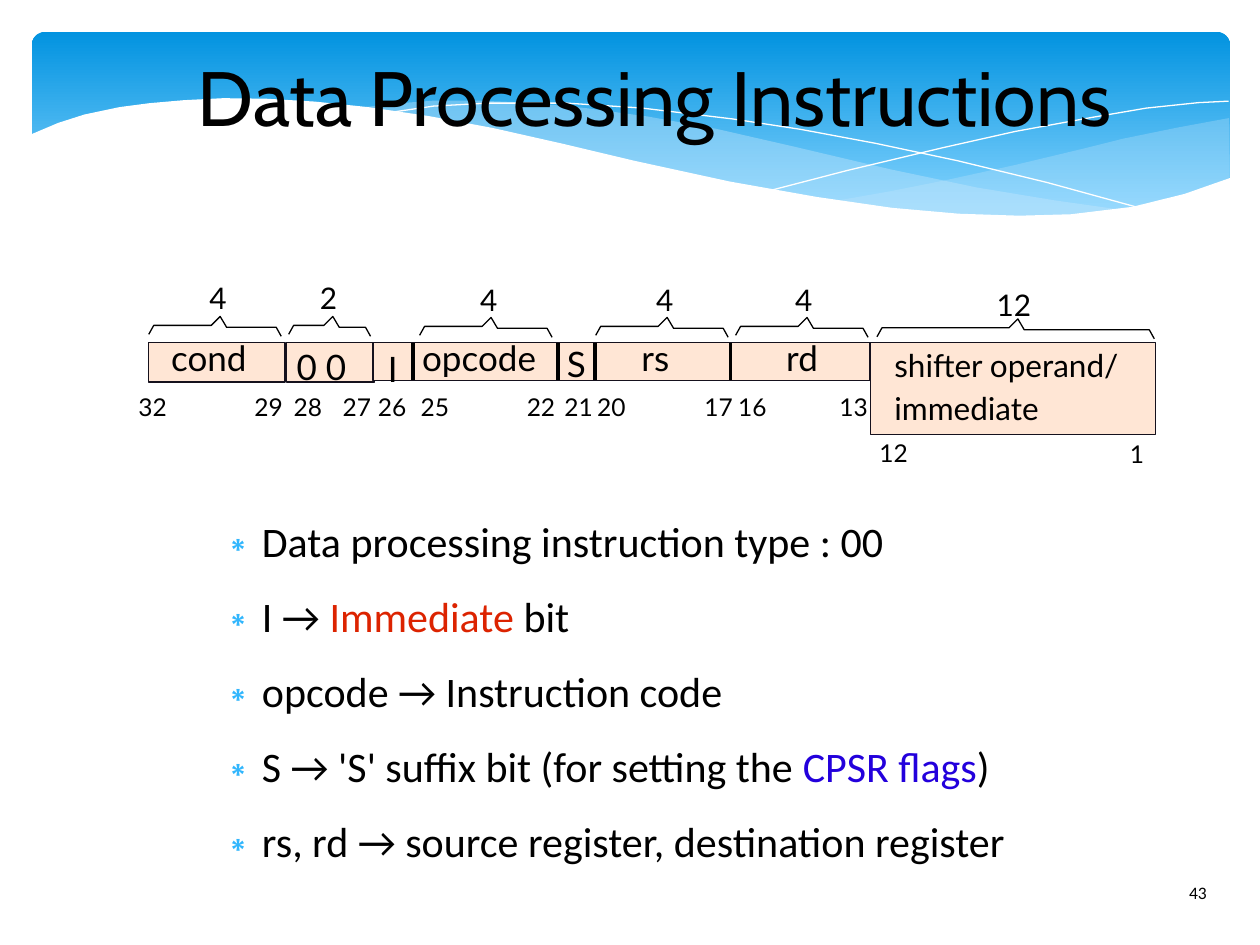
"""Build the slide on the data processing instruction format."""
import lxml.etree
import pptx
import pptx.dml.color
import pptx.enum.shapes
import pptx.enum.text
import pptx.oxml.ns
import pptx.util
from pptx.util import Cm

RGB = pptx.dml.color.RGBColor
BLACK = RGB(0x00, 0x00, 0x00)
WHITE = RGB(0xFF, 0xFF, 0xFF)
SKY_DARK = RGB(0x02, 0x93, 0xE0)
SKY_LIGHT = RGB(0x83, 0xD3, 0xFE)
WAVE = RGB(0xC6, 0xE7, 0xFC)
PEACH = RGB(0xFF, 0xE6, 0xD5)
EDGE = RGB(0x15, 0x11, 0x1D)
RED = RGB(0xDC, 0x23, 0x00)
BLUE = RGB(0x23, 0x00, 0xDC)
BULLET = RGB(0x31, 0xB6, 0xFD)
HAIRLINE = pptx.util.Pt(0)
qn = pptx.oxml.ns.qn

prs = pptx.Presentation()
prs.slide_width, prs.slide_height = Cm(25.4), Cm(19.05)
s = prs.slides.add_slide(prs.slide_layouts[1])


def add_path(points, fill=None, line=None, alpha=None):
    pts = [(Cm(x), Cm(y)) for x, y in points]
    fb = s.shapes.build_freeform(*pts[0])
    fb.add_line_segments(pts[1:], close=fill is not None)
    sp = fb.convert_to_shape()
    sp.shadow.inherit = False
    if fill is None:
        sp.fill.background()
    else:
        sp.fill.solid()
        sp.fill.fore_color.rgb = fill
    if alpha:
        clr = sp.element.xpath("./p:spPr/a:solidFill/a:srgbClr")[0]
        lxml.etree.SubElement(clr, qn("a:alpha"), val=str(alpha * 1000))
    if line is None:
        sp.line.fill.background()
    else:
        sp.line.color.rgb = line
        sp.line.width = HAIRLINE


def add_label(text, x, y, width, size):
    sp = s.shapes.add_textbox(Cm(x), Cm(y), Cm(width), Cm(size * 0.05))
    tf = sp.text_frame
    tf.margin_left = tf.margin_right = tf.margin_top = tf.margin_bottom = 0
    tf.word_wrap = False
    tf.auto_size = pptx.enum.text.MSO_AUTO_SIZE.SHAPE_TO_FIT_TEXT
    r = tf.paragraphs[0].add_run()
    r.text = text
    r.font.size = pptx.util.Pt(size)
    r.font.name = "Lato"
    r.font.color.rgb = BLACK


sp = s.shapes.add_shape(pptx.enum.shapes.MSO_SHAPE.ROUNDED_RECTANGLE,
                        Cm(0.64), Cm(0.64), Cm(24.16), Cm(3.96))
sp.adjustments[0] = 0.07
sp.shadow.inherit = False
sp.line.fill.background()
sp.fill.gradient()
sp.fill.gradient_angle = 270
for stop, color, position in zip(sp.fill.gradient_stops, (SKY_DARK, SKY_LIGHT), (0, 0.9)):
    stop.color.rgb = color
    stop.position = position

add_path([(24.78, 2.38), (23.75, 2.57), (22.63, 2.8), (21.87, 2.99), (20.45, 3.33),
          (19.13, 3.62), (17.93, 3.86), (16.8, 4.06), (17.91, 4.19), (19.23, 4.31),
          (20.4, 4.37), (21.44, 4.35), (22.38, 4.25), (23.39, 4.06), (24.1, 3.86),
          (24.79, 3.58)], fill=WAVE, alpha=29)
add_path([(22.68, 4.24), (21.26, 4.04), (19.69, 3.78), (17.93, 3.41), (15.98, 2.95),
          (14.45, 2.6), (13.06, 2.35), (11.81, 2.18), (10.67, 2.07), (9.65, 2.03),
          (8.74, 2.03), (7.95, 2.09), (7.26, 2.17), (8.69, 2.38), (10.26, 2.68),
          (11.4, 2.93), (13.46, 3.42), (15.27, 3.81), (16.89, 4.08), (18.34, 4.26),
          (19.63, 4.36), (20.78, 4.39), (21.77, 4.35)], fill=WAVE, alpha=40)
add_path([(7.85, 2.27), (8.74, 2.14), (9.83, 2.08), (11.43, 2.08), (12.95, 2.18),
          (14.78, 2.4), (16.15, 2.61), (17.65, 2.89), (19.3, 3.24), (21.11, 3.68),
          (23.04, 4.21)], line=WHITE)
add_path([(15.57, 3.83), (17.07, 3.44), (19, 2.98), (20.47, 2.65), (22, 2.37),
          (23.11, 2.18), (24.16, 2.07), (24.77, 2.04)], line=WHITE)
add_path([(24.82, 3.58), (23.88, 3.91), (22.83, 4.17), (21.59, 4.32), (20.55, 4.35),
          (19.33, 4.31), (17.98, 4.19), (16.46, 3.97), (14.71, 3.66), (12.78, 3.24),
          (11.35, 2.9), (9.93, 2.58), (8.64, 2.34), (7.42, 2.16), (6.35, 2.05),
          (5.36, 1.99), (4.5, 1.98), (3.71, 2.02), (3.02, 2.08), (2.41, 2.16),
          (1.7, 2.31), (1.17, 2.48), (0.58, 2.73), (0.58, 5.69), (24.82, 5.69)],
         fill=WHITE)

sp = s.shapes.add_textbox(Cm(23.72), Cm(17.65), Cm(1.55), Cm(1.02))
r = sp.text_frame.paragraphs[0].add_run()
r.text = "43"
r.font.size = pptx.util.Pt(10)
r.font.name = "Calibri"
r.font.color.rgb = BLACK

title, body = s.shapes.title, s.placeholders[1]
for ph, box in ((title, (2.9, 0.64, 20.6, 2.59)), (body, (4.09, 10.39, 21.31, 7.19))):
    s.shapes.element.append(ph.element)
    ph.left, ph.top, ph.width, ph.height = [Cm(v) for v in box]
    tf = ph.text_frame
    tf.margin_left = tf.margin_right = tf.margin_top = tf.margin_bottom = 0
    tf.word_wrap = True
    tf.auto_size = pptx.enum.text.MSO_AUTO_SIZE.NONE

title.text_frame.vertical_anchor = pptx.enum.text.MSO_ANCHOR.MIDDLE
p = title.text_frame.paragraphs[0]
p.alignment = pptx.enum.text.PP_ALIGN.CENTER
r = p.add_run()
r.text = "Data Processing Instructions"
r.font.size = pptx.util.Pt(44)
r.font.name = "Cabin"
r.font.color.rgb = BLACK

items = [
    [("Data processing instruction type : 00", BLACK)],
    [("I → ", BLACK), ("Immediate", RED), (" bit", BLACK)],
    [("opcode → Instruction code", BLACK)],
    [("S → 'S' suffix bit (for setting the ", BLACK), ("CPSR flags", BLUE), (")", BLACK)],
    [("rs, rd → source register, destination register", BLACK)],
]
tf = body.text_frame
for i, runs in enumerate(items):
    p = tf.add_paragraph() if i else tf.paragraphs[0]
    p.space_before = pptx.util.Pt(0)
    p.space_after = pptx.util.Pt(14.1)
    pPr = p._p.get_or_add_pPr()
    pPr.set("marL", str(Cm(1.19)))
    pPr.set("indent", str(Cm(-0.89)))
    clr = lxml.etree.SubElement(pPr, qn("a:buClr"))
    lxml.etree.SubElement(clr, qn("a:srgbClr"), val=str(BULLET))
    lxml.etree.SubElement(pPr, qn("a:buChar"), char="∗")
    for text, color in runs:
        r = p.add_run()
        r.text = text
        r.font.size = pptx.util.Pt(24)
        r.font.name = "Calibri"
        r.font.color.rgb = color

for x, width, height in ((3, 2.75, 0.79), (5.77, 1.78, 0.79),
                         (17.55, 5.74, 1.85), (7.52, 10.02, 0.76)):
    sp = s.shapes.add_shape(pptx.enum.shapes.MSO_SHAPE.RECTANGLE,
                            Cm(x), Cm(6.91), Cm(width), Cm(height))
    sp.shadow.inherit = False
    sp.fill.solid()
    sp.fill.fore_color.rgb = PEACH
    sp.line.color.rgb = EDGE
    sp.line.width = HAIRLINE

for x in (8.33, 11.25, 11.99, 14.73):
    c = s.shapes.add_connector(pptx.enum.shapes.MSO_CONNECTOR.STRAIGHT,
                               Cm(x), Cm(6.91), Cm(x), Cm(7.67))
    c.line.color.rgb = BLACK
    c.line.width = HAIRLINE
    lxml.etree.SubElement(c.element.spPr, qn("a:effectLst"))

for x, y, width, peak in ((3, 6.38, 2.67, 1.44), (5.82, 6.38, 1.65, 0.89),
                          (8.46, 6.4, 2.67, 1.44), (12.01, 6.4, 2.67, 1.44),
                          (14.83, 6.4, 2.67, 1.44), (17.68, 6.43, 5.59, 2.84)):
    brace = [(0, 0.36), (0.1, 0.18), (peak - 0.18, 0.18), (peak, 0),
             (peak + 0.13, 0.22), (width - 0.1, 0.22), (width, 0.4)]
    add_path([(x + dx, y + dy) for dx, dy in brace], line=BLACK)

for text, x, y in (("4", 4.22, 5.64), ("2", 6.45, 5.64), ("4", 9.68, 5.69),
                   ("4", 13.23, 5.69), ("4", 16.03, 5.69), ("12", 20.09, 5.79)):
    add_label(text, x, y, 0.32 + 0.33 * len(text), 17)

for text, x, y, width, size in (
        ("cond", 3.45, 6.78, 1.83, 20), ("0 0", 5.98, 6.96, 1.36, 20),
        ("I", 7.82, 7.01, 0.51, 20), ("opcode", 8.51, 6.78, 2.62, 20),
        ("S", 11.43, 6.91, 0.79, 20), ("rs", 12.93, 6.78, 0.89, 20),
        ("rd", 15.85, 6.78, 0.94, 20), ("shifter operand/", 18.03, 6.98, 4.98, 18),
        ("immediate", 18.03, 7.85, 3.4, 18)):
    add_label(text, x, y, width, size)

for bit, x in ((32, 2.79), (29, 5.13), (28, 5.92), (27, 6.91), (26, 7.62), (25, 8.48),
               (22, 10.62), (21, 11.38), (20, 12.04), (17, 14.2), (16, 14.88), (13, 16.92)):
    add_label(str(bit), x, 7.9, 0.81, 14)
add_label("12", 17.73, 8.84, 0.81, 14)
add_label("1", 22.78, 8.86, 0.53, 14)

prs.save("out.pptx")
